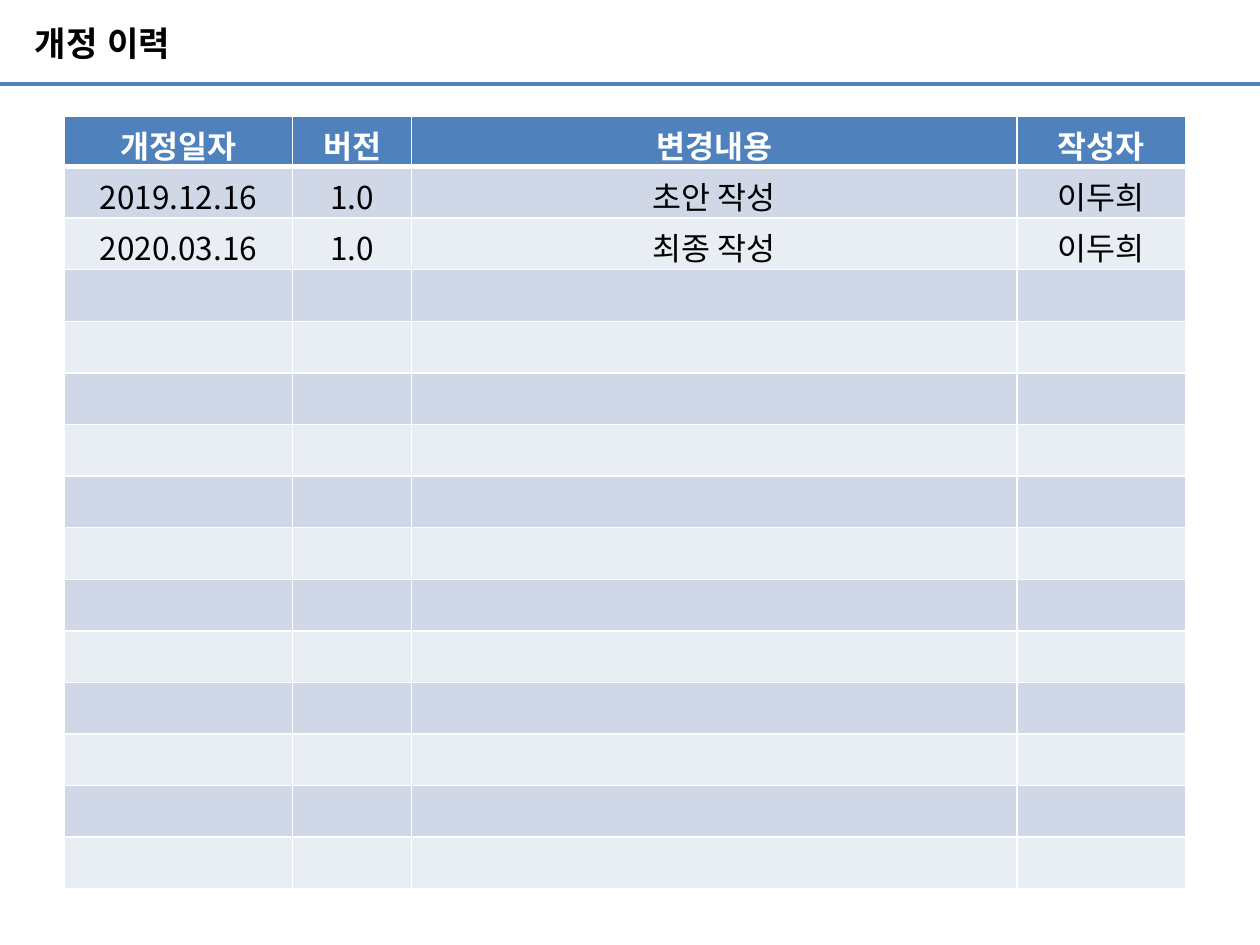
import pptx
import pptx.dml.color
import pptx.enum.shapes
import pptx.enum.text
import pptx.oxml.ns
import pptx.util
from dataclasses import dataclass
from lxml import etree

Cm = pptx.util.Cm
Pt = pptx.util.Pt
qn = pptx.oxml.ns.qn


@dataclass(frozen=True)
class Theme:
    accent: str = "4F81BD"
    white: str = "FFFFFF"
    black: str = "000000"
    bands: tuple = ("D0D8E8", "E9EDF4")
    title_font: str = "Arial"
    table_font: str = "Noto Sans CJK KR"
    title_size: float = 19.5
    table_size: float = 18
    rule_width: float = 2.25
    border_width: float = 1
    header_border_width: float = 3


def rgb(value):
    return pptx.dml.color.RGBColor.from_string(value)


class PageBuilder:
    def __init__(self, page, theme):
        self.page = page
        self.theme = theme

    def add_span(self, para, text, font, size, color, bold):
        span = para.add_run()
        span.text = text
        span.font.name = font
        span.font.size = Pt(size)
        span.font.bold = bold
        span.font.color.rgb = rgb(color)
        etree.SubElement(span.font._element, qn("a:ea"), typeface=font)

    def rule(self, left, top, width):
        line = self.page.shapes.add_connector(
            pptx.enum.shapes.MSO_CONNECTOR.STRAIGHT, left, top, left + width, top)
        line.line.color.rgb = rgb(self.theme.accent)
        line.line.width = Pt(self.theme.rule_width)
        etree.SubElement(line._element.spPr, qn("a:effectLst"))

    def title(self, text, left, top, width, height):
        box = self.page.shapes.add_textbox(left, top, width, height)
        frame = box.text_frame
        frame.word_wrap = True
        frame.vertical_anchor = pptx.enum.text.MSO_ANCHOR.MIDDLE
        frame.margin_left = frame.margin_right = 0
        frame.margin_top = frame.margin_bottom = 0
        self.add_span(frame.paragraphs[0], text, self.theme.title_font,
                      self.theme.title_size, self.theme.black, True)

    def borders(self, cell, bottom_width):
        props = cell._tc.get_or_add_tcPr()
        widths = {"L": self.theme.border_width, "R": self.theme.border_width,
                  "T": self.theme.border_width, "B": bottom_width}
        for side, width in widths.items():
            edge = etree.SubElement(props, qn(f"a:ln{side}"), w=str(Pt(width)))
            fill = etree.SubElement(edge, qn("a:solidFill"))
            etree.SubElement(fill, qn("a:srgbClr"), val=self.theme.white)

    def cell(self, cell, text, fill, color, bold, bottom_width):
        self.borders(cell, bottom_width)
        cell.fill.solid()
        cell.fill.fore_color.rgb = rgb(fill)
        para = cell.text_frame.paragraphs[0]
        para.alignment = pptx.enum.text.PP_ALIGN.CENTER
        font, size = self.theme.table_font, self.theme.table_size
        if text:
            self.add_span(para, text, font, size, color, bold)
        else:
            # An empty row keeps the height of a line of table text
            end = etree.SubElement(para._p, qn("a:endParaRPr"), sz=str(size * 100))
            for script in ("latin", "ea"):
                etree.SubElement(end, qn(f"a:{script}"), typeface=font)

    def table(self, header, records, blank_rows, left, top, widths, heights, height):
        theme = self.theme
        rows = [header, *records] + [[""] * len(header)] * blank_rows
        frame = self.page.shapes.add_table(
            len(rows), len(header), left, top, sum(widths), height)
        grid = frame.table
        for column, width in zip(grid.columns, widths):
            column.width = width
        for index, texts in enumerate(rows):
            is_header = index == 0
            grid.rows[index].height = heights[0] if is_header else heights[1]
            fill = theme.accent if is_header else theme.bands[(index - 1) % 2]
            color = theme.white if is_header else theme.black
            bottom = theme.header_border_width if is_header else theme.border_width
            for column, text in enumerate(texts):
                self.cell(grid.cell(index, column), text, fill, color, is_header, bottom)
        frame.height = height


def main():
    deck = pptx.Presentation()
    deck.slide_width, deck.slide_height = Cm(25.4), Cm(19.05)
    page = deck.slides.add_slide(deck.slide_layouts[6])
    builder = PageBuilder(page, Theme())

    # Heading
    builder.rule(0, Cm(1.7), deck.slide_width)
    builder.title("개정 이력", Cm(0.7), 0, Cm(16.6), Cm(1.73))

    # Revision table
    builder.table(
        header=["개정일자", "버전", "변경내용", "작성자"],
        records=[["2019.12.16", "1.0", "초안 작성", "이두희"],
                 ["2020.03.16", "1.0", "최종 작성", "이두희"]],
        blank_rows=12,
        left=Cm(1.3), top=Cm(2.34),
        widths=[Cm(4.6), Cm(2.4), Cm(12.2), Cm(3.4)],
        heights=(Cm(0.38), Cm(1.04)), height=Cm(15.44))

    deck.save("out.pptx")


if __name__ == "__main__":
    main()
